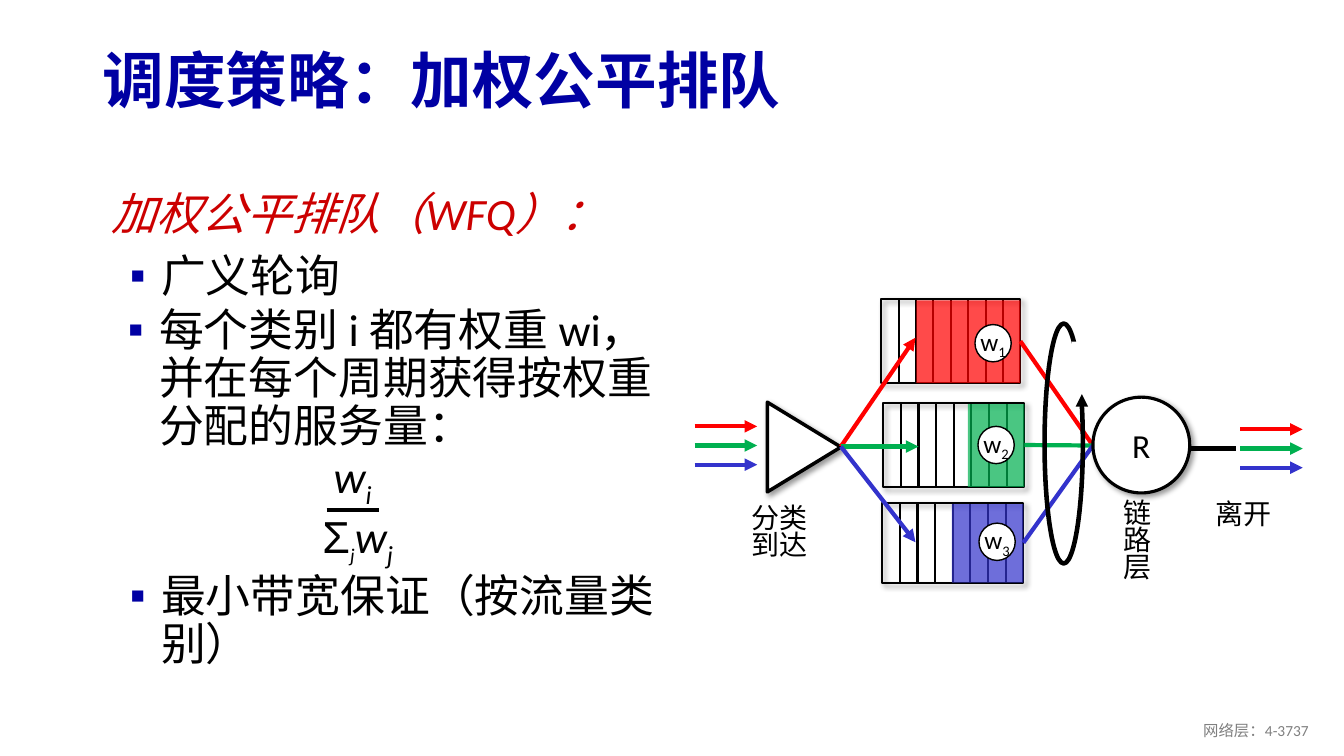
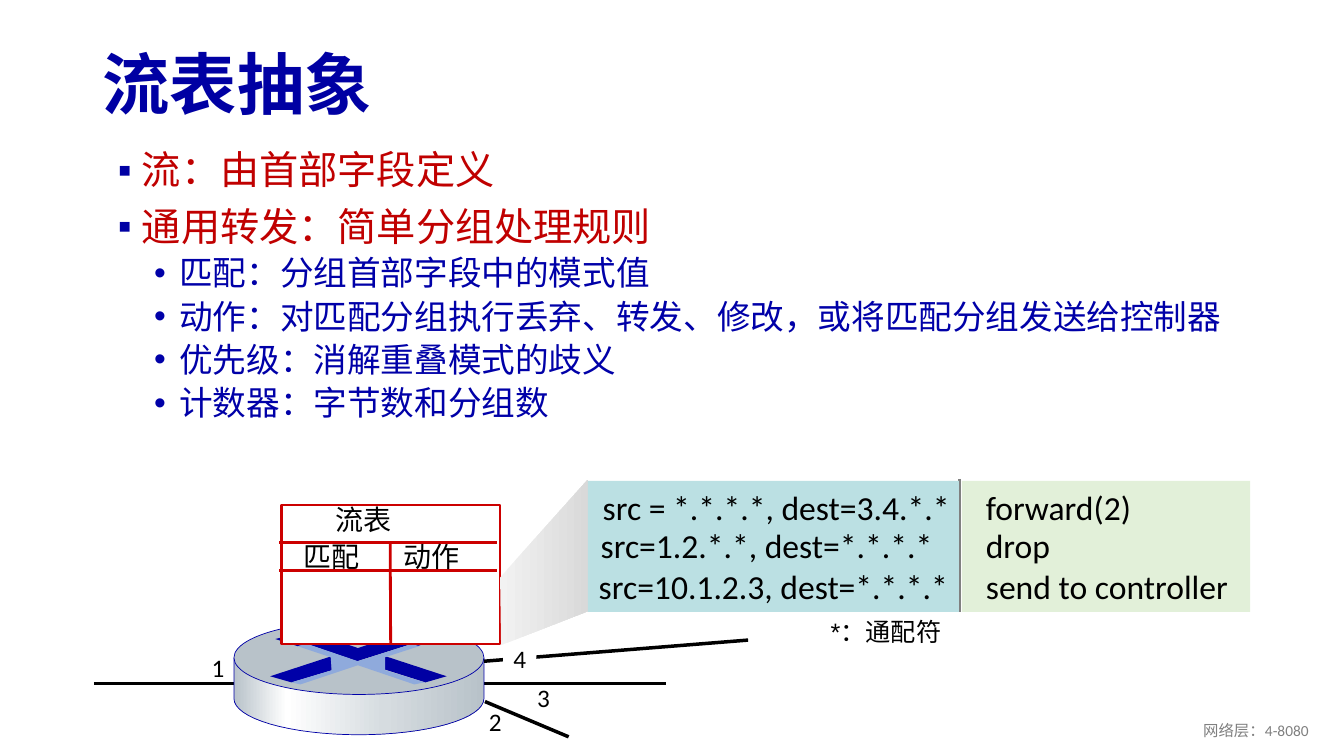
"""Build two slides on fair queueing and flow tables."""
from dataclasses import dataclass
from math import cos, pi, sin

from lxml.etree import SubElement as Sub
from pptx import Presentation
from pptx.dml.color import RGBColor as Rgb
from pptx.enum.shapes import MSO_CONNECTOR as Link, MSO_SHAPE as Kind
from pptx.enum.text import MSO_ANCHOR as Anchor, PP_ALIGN as Align
from pptx.oxml.ns import qn
from pptx.util import Inches, Pt


@dataclass(frozen=True)
class Theme:
    """Hold the colours, fonts and type sizes."""
    navy: str = "0000A3"
    ink: str = "0000A8"
    black: str = "000000"
    white: str = "FFFFFF"
    grey: str = "808080"
    crimson: str = "CC0000"
    brick: str = "C00000"
    red: str = "FF0000"
    green: str = "00B050"
    blue: str = "3333CC"
    steel: str = "B8C2C9"
    sky: str = "8FAADC"
    aqua: str = "BBE0E3"
    mint: str = "E2F0D9"
    metal: tuple = ((0, "B8C2C9"), (21, "FFFFFF"), (60, "D6DCE0"), (100, "B8C2C9"))
    beam: tuple = ((0, "F2F2F2"), (100, "D9D9D9"))
    font: str = "Calibri"
    sans: str = "Arial"
    body: int = 32
    topic: int = 28
    code: int = 24
    label: int = 20
    small: int = 18
    foot: int = 11


T = Theme()
FLOWS = (T.red, T.green, T.blue)
TIGHT = {"line_spacing": 0.9}
ITEM = {"line_spacing": 0.9, "space_before": Pt(10)}
POINT = {"line_spacing": 0.9, "space_before": Pt(5)}
MID = {"line_spacing": 0.8, "alignment": Align.CENTER}
SUB = {"base": -25}


def put(thing, vals):
    """Set each named value on an object."""
    for name, val in vals.items():
        setattr(thing, name, val)


def place(box):
    """Turn a box in inches into lengths."""
    return [Inches(val) for val in box]


def write(frame, lines, size, tint=T.black, fmt=None, dent=None, dot=None, **face):
    """Append paragraphs of plain text or styled runs to a frame."""
    for line in lines:
        first = not frame.text
        para = frame.paragraphs[0] if first else frame.add_paragraph()
        put(para, {key: val for key, val in (fmt or {}).items()
                   if not (first and key == "space_before")})
        props = para._p.get_or_add_pPr()
        if dent:
            props.set("marL", str(Inches(dent[0])))
            props.set("indent", str(Inches(dent[1])))
        if dot:
            mark, shade = dot
            Sub(Sub(props, qn("a:buClr")), qn("a:srgbClr")).set("val", shade)
            Sub(props, qn("a:buFont")).set("typeface", T.sans)
            Sub(props, qn("a:buChar")).set("char", mark)
        for words, extra in [(line, {})] if isinstance(line, str) else line:
            run = para.add_run()
            run.text = words
            look = {"name": T.font, "size": size, **face, **extra}
            base = look.pop("base", 0)
            look["size"] = Pt(look["size"])
            put(run.font, look)
            run.font.color.rgb = Rgb.from_string(tint)
            if base:
                run._r.get_or_add_rPr().set("baseline", str(base * 1000))


def text(slide, box, lines=(), size=T.label, wrap=False, anchor=Anchor.TOP, **look):
    """Add a text box and return its frame."""
    frame = slide.shapes.add_textbox(*place(box)).text_frame
    put(frame, {"word_wrap": wrap, "vertical_anchor": anchor})
    write(frame, lines, size, **look)
    return frame


def paint(shape, fill=None, line=None, width=1, alpha=None, shade=False):
    """Give a shape its fill, outline and shadow."""
    shape.shadow.inherit = False
    props = shape._element.spPr
    if fill is None:
        shape.fill.background()
    elif isinstance(fill, str):
        shape.fill.solid()
        shape.fill.fore_color.rgb = Rgb.from_string(fill)
        if alpha:
            tone = props.find(qn("a:solidFill")).find(qn("a:srgbClr"))
            Sub(tone, qn("a:alpha")).set("val", str(alpha * 1000))
    else:
        shape.fill.gradient()
        grad = props.find(qn("a:gradFill"))
        grad.find(qn("a:lin")).set("ang", "0")
        stops = grad.find(qn("a:gsLst"))
        for old in list(stops):
            stops.remove(old)
        for pos, tone in fill:
            stop = Sub(stops, qn("a:gs"))
            stop.set("pos", str(pos * 1000))
            Sub(stop, qn("a:srgbClr")).set("val", tone)
    if line:
        shape.line.color.rgb = Rgb.from_string(line)
        shape.line.width = Pt(width)
    else:
        shape.line.fill.background()
    if shade:
        cast = Sub(props.find(qn("a:effectLst")), qn("a:outerShdw"))
        for key, val in {"blurRad": Pt(4), "dist": Pt(3), "dir": 45 * 60000,
                         "algn": "tl", "rotWithShape": 0}.items():
            cast.set(key, str(val))
        tone = Sub(cast, qn("a:srgbClr"))
        tone.set("val", T.black)
        Sub(tone, qn("a:alpha")).set("val", "40000")
    return shape


def draw(slide, kind, box, **look):
    """Add a painted preset shape."""
    return paint(slide.shapes.add_shape(kind, *place(box)), **look)


def trace(slide, spots, **look):
    """Add a painted closed outline."""
    start, *rest = [place(spot) for spot in spots]
    pen = slide.shapes.build_freeform(*start)
    pen.add_line_segments(rest, close=True)
    return paint(pen.convert_to_shape(), **look)


def join(slide, start, end, tint=T.black, width=3, arrow=False, box=None, side=3):
    """Add a straight line, with an arrowhead or a joined start if asked."""
    line = slide.shapes.add_connector(Link.STRAIGHT, *place(start + end))
    line.line.color.rgb = Rgb.from_string(tint)
    line.line.width = Pt(width)
    if arrow:
        Sub(line.line._get_or_add_ln(), qn("a:tailEnd")).set("type", "triangle")
    Sub(line._element.spPr, qn("a:effectLst"))
    if box is not None:
        line.begin_connect(box, side)


def badge(slide, box, runs, size, **look):
    """Add a white shape with centred text."""
    shape = draw(slide, look.pop("kind", Kind.OVAL), box, fill=T.white, **look)
    put(shape.text_frame, {"word_wrap": False, "margin_left": 0, "margin_right": 0,
                           "margin_top": 0, "margin_bottom": 0})
    write(shape.text_frame, [runs], size)


def page(deck, title, size, top, number):
    """Add a slide with its title and footer."""
    slide = deck.slides.add_slide(deck.slide_layouts[6])
    text(slide, (0.92, top, 11.5, 0.98), [title], size, True, Anchor.MIDDLE,
         tint=T.navy, fmt=TIGHT, bold=True)
    text(slide, (10.08, 7.05, 3, 0.4), [f"网络层：{number}"], T.foot, True,
         Anchor.MIDDLE, tint=T.grey, fmt={"alignment": Align.RIGHT})
    return slide


def queue(slide, box, part, tint):
    """Add a queue of eight slots whose last part is tinted."""
    left, top, wide, high = box
    frame = draw(slide, Kind.RECTANGLE, box, line=T.black, width=1.5, shade=True)
    for slot in range(1, 8):
        spot = left + wide * slot / 8
        join(slide, (spot, top), (spot, top + high), width=1.5)
    draw(slide, Kind.RECTANGLE, (left + wide - part, top + 0.01, part, high - 0.01),
         fill=tint, alpha=71)
    return frame


def arrows(slide, left, top):
    """Add one short arrow for each flow."""
    for row, tint in enumerate(FLOWS):
        level = top + 0.19 * row
        join(slide, (left, level), (left + 0.62, level), tint, arrow=True)


def share(slide):
    """Add the fraction for the weighted share."""
    text(slide, (3.21, 4.4, 0.59, 0.64), [[("w", {}), ("i", SUB)]], T.body, italic=True)
    text(slide, (3.1, 5, 0.93, 0.64),
         [[("Σ", {"name": T.sans, "italic": False}), ("j", {"size": 24, **SUB}),
           ("w", {}), ("j", SUB)]], T.body, italic=True)
    join(slide, (3.24, 5.06), (3.76, 5.06))


def fair(deck):
    """Build the slide on weighted fair queueing."""
    slide = page(deck, "调度策略：加权公平排队", 44, 0.34, "4-3737")
    bullet = {"fmt": ITEM, "dent": (0.64, -0.31), "dot": ("▪", T.navy)}
    body = text(slide, (0.86, 1.85, 6.08, 1.22), ["加权公平排队（WFQ）："], T.body, True,
                tint=T.crimson, fmt=ITEM, dent=(0.39, -0.24), italic=True)
    write(body, ["广义轮询"], T.body, **bullet)
    for box, words in (
            ((0.84, 3, 6.08, 1.55), "每个类别 i 都有权重 wi，并在每个周期获得按权重分配的服务量："),
            ((0.86, 5.64, 6.08, 1.15), "最小带宽保证（按流量类别）")):
        text(slide, box, [words], T.body, True, **bullet)
    share(slide)

    join(slide, (11.76, 4.45), (12.26, 4.45))
    rows = (((8.74, 2.97, 1.38, 0.83), 1.03), ((8.76, 4, 1.4, 0.83), 0.56),
            ((8.75, 4.99, 1.4, 0.79), 0.71))
    queues = [queue(slide, box, part, tint) for (box, part), tint in zip(rows, FLOWS)]
    cone = draw(slide, Kind.ISOSCELES_TRIANGLE, (7.53, 4.07, 0.89, 0.73),
                fill=T.white, line=T.black, width=2.5, shade=True)
    cone.rotation = 90
    arrows(slide, 6.89, 4.23)
    arrows(slide, 12.3, 4.26)
    text(slide, (7.19, 4.98, 1.08, 0.65), ["分类", "到达"], fmt=MID)
    text(slide, (11.6, 4.94, 1.46, 0.38), ["离开"], fmt=MID)
    text(slide, (10.98, 4.93, 0.61, 0.9), ["链路层"], wrap=True, fmt=MID)
    tips = ((9.08, 3.35), (9.11, 4.43), (9.08, 5.38))
    for tip, tint, frame in zip(tips, FLOWS, queues):
        join(slide, (8.34, 4.43), tip, tint, arrow=True)
        join(slide, (10.15, 4.42), (10.84, 4.42), tint, box=frame)
    badge(slide, (10.84, 3.94, 0.96, 0.95), "R", T.code, line=T.black,
          width=2.25, shade=True)
    draw(slide, Kind.OVAL, (10.36, 3.21, 0.38, 2.38), line=T.black, width=3.25)
    draw(slide, Kind.RECTANGLE, (10.63, 3.39, 0.21, 0.64), fill=T.white)
    join(slide, (10.73, 4.19), (10.73, 3.91), arrow=True)
    for rank, spot in enumerate(((9.67, 3.22), (9.7, 4.23), (9.71, 5.19)), 1):
        badge(slide, spot + (0.36, 0.37), [("w", {}), (str(rank), SUB)], T.small,
              line=T.black)


def router(slide):
    """Add the router disc with its crossed arrows."""
    rim = [(3.56 + 1.24 * cos(pi * k / 32), 6.93 + 0.36 * sin(pi * k / 32))
           for k in range(33)]
    trace(slide, [(4.8, 6.53)] + rim + [(2.32, 6.53)], fill=T.metal, line=T.ink, width=0.5)
    draw(slide, Kind.OVAL, (2.32, 6.16, 2.48, 0.73), fill=T.steel, line=T.ink, width=0.5)
    for tint, spots in (
            (T.navy, ((4.06, 6.26), (4.38, 6.33), (4.14, 6.41), (4.08, 6.39), (3.54, 6.56),
                      (3.05, 6.39), (2.95, 6.41), (2.73, 6.34), (3.05, 6.26), (3.55, 6.43))),
            (T.navy, ((3.82, 6.51), (4.43, 6.71), (4.22, 6.77), (3.81, 6.64))),
            (T.ink, ((3.29, 6.51), (3.29, 6.65), (2.89, 6.77), (2.68, 6.71))),
            (T.sky, ((2.95, 6.41), (3.05, 6.39), (3.55, 6.56), (4.08, 6.39), (4.16, 6.41),
                     (3.82, 6.52), (3.82, 6.65), (4.21, 6.77), (4.11, 6.79), (3.55, 6.6),
                     (2.98, 6.79), (2.89, 6.77), (3.29, 6.65), (3.28, 6.52)))):
        trace(slide, spots, fill=tint)


def chart(slide):
    """Add the small flow table above the router."""
    frame = draw(slide, Kind.RECTANGLE, (2.79, 5.01, 2.17, 1.38), fill=T.white,
                 line=T.crimson, width=2)
    for level in (5.38, 5.66):
        join(slide, (2.77, level), (4.93, level), T.crimson, 2)
    join(slide, (3.88, 6.39), (3.87, 5.37), T.crimson, 2, box=frame, side=2)
    for left, top, words in ((3.23, 4.94, "流表"), (2.91, 5.3, "匹配"), (3.9, 5.3, "动作")):
        text(slide, (left, top, 0.88, 0.44), [words])


def rules(slide):
    """Add the enlarged match and action rules."""
    text(slide, (8.14, 6.07, 1.44, 0.4), ["*：通配符"], T.small, name=T.sans)
    trace(slide, ((4.97, 6.4), (5.84, 6.06), (5.83, 4.76), (4.96, 5.73)), fill=T.beam)
    join(slide, (9.52, 4.75), (9.52, 6.07), T.grey, 2)
    draw(slide, Kind.RECTANGLE, (5.83, 4.77, 3.68, 1.3), fill=T.aqua)
    draw(slide, Kind.RECTANGLE, (9.54, 4.77, 2.86, 1.3), fill=T.mint)
    for left, top, match, act in (
            (5.88, 4.78, "src = *.*.*.*, dest=3.4.*.*", "forward(2)"),
            (5.86, 5.16, "src=1.2.*.*, dest=*.*.*.*", "drop"),
            (5.84, 5.57, "src=10.1.2.3, dest=*.*.*.*", "send to controller")):
        text(slide, (left, top, 3.8, 0.5), [match], T.code)
        text(slide, (9.68, top, 2.7, 0.5), [act], T.code)


def flow(deck):
    """Build the slide on the flow table."""
    slide = page(deck, "流表抽象", 48, 0.38, "4-8080")
    body = text(slide, (0.92, 1.45, 11.5, 3.33),
                ["流：由首部字段定义", "通用转发：简单分组处理规则"], T.topic, True,
                tint=T.brick, fmt=ITEM, dent=(0.39, -0.24), dot=("▪", T.navy))
    write(body, ["匹配：分组首部字段中的模式值",
                 "动作：对匹配分组执行丢弃、转发、修改，或将匹配分组发送给控制器",
                 "优先级：消解重叠模式的歧义", "计数器：字节数和分组数"],
          T.code, T.ink, POINT, (0.76, -0.25), ("•", T.ink))
    join(slide, (0.93, 6.78), (6.61, 6.78), width=2.5)
    router(slide)
    chart(slide)
    join(slide, (4.8, 6.56), (7.42, 6.35), width=2.5)
    join(slide, (4.81, 6.96), (5.64, 7.31), width=2.5)
    for left, top, port in ((2, 6.42, "1"), (4.75, 6.96, "2"), (5.23, 6.72, "3")):
        text(slide, (left, top, 0.33, 0.4), [port], T.small)
    badge(slide, (4.99, 6.33, 0.33, 0.4), "4", T.small, kind=Kind.RECTANGLE)
    rules(slide)


def main():
    """Build and save the deck."""
    deck = Presentation()
    put(deck, {"slide_width": Inches(13.33), "slide_height": Inches(7.5)})
    fair(deck)
    flow(deck)
    deck.save("out.pptx")


if __name__ == "__main__":
    main()
